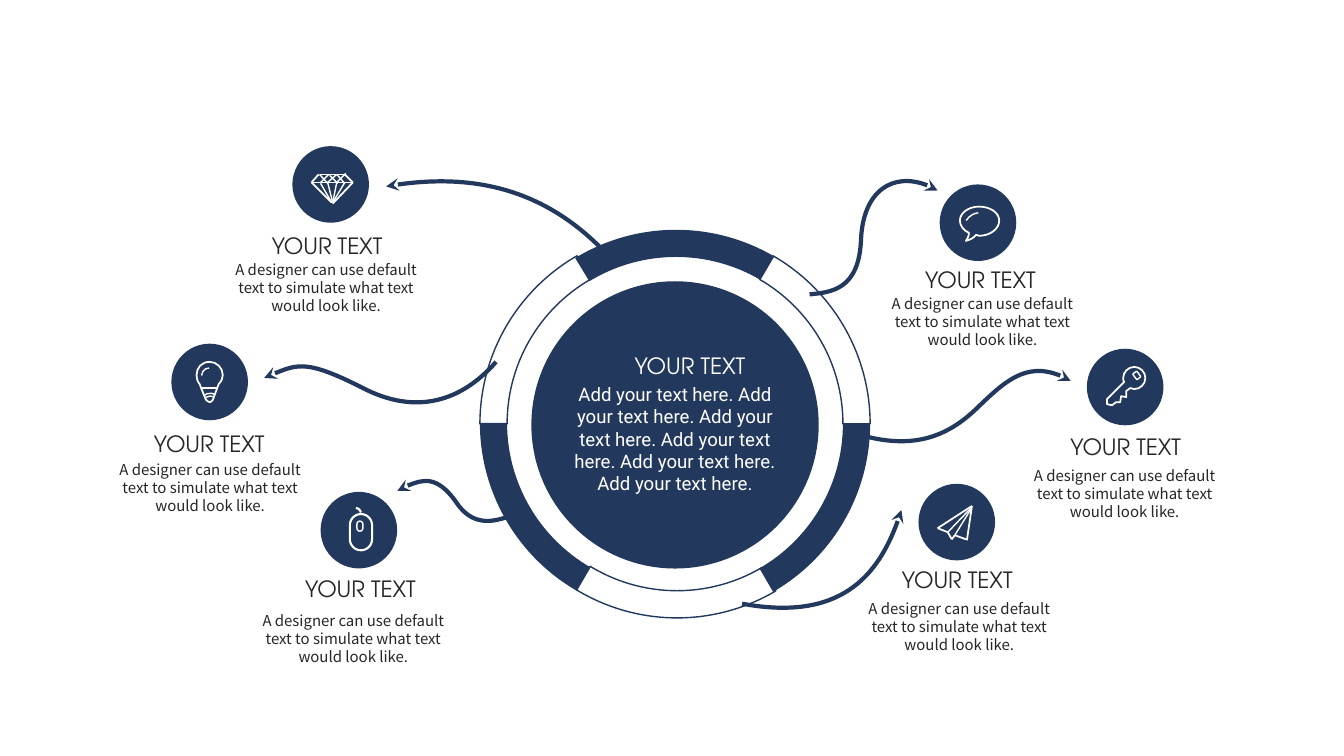
from lxml import etree
from pptx import Presentation
from pptx.dml.color import RGBColor
from pptx.enum.shapes import MSO_CONNECTOR, MSO_SHAPE
from pptx.enum.text import PP_ALIGN
from pptx.oxml.ns import qn
from pptx.util import Cm, Pt

OVAL, ARC = MSO_SHAPE.OVAL, MSO_SHAPE.ARC
BLOCK_ARC, ROUND_RECT = MSO_SHAPE.BLOCK_ARC, MSO_SHAPE.ROUNDED_RECTANGLE
STRAIGHT = MSO_CONNECTOR.STRAIGHT
CENTER, RIGHT = PP_ALIGN.CENTER, PP_ALIGN.RIGHT

THEME = {
    "navy": RGBColor(0x22, 0x38, 0x5C), "ink": RGBColor(0x26, 0x26, 0x26),
    "white": RGBColor(0xFF, 0xFF, 0xFF),
    "title_font": "TeX Gyre Adventor", "blurb_font": "Noto Sans CJK SC", "hub_font": "Roboto",
    "title": 16, "blurb": 10.7, "blurb_leading": 12.85, "hub": 13.3,
    "ring_line": 1, "arrow_line": 3, "thin": 1, "medium": 1.25, "thick": 1.5,
}

# Content: all places are in hundredths of an inch
TITLE = "YOUR TEXT"
BLURB = "A designer can use default text to simulate what text would look like."
HUB_TEXT = " ".join(["Add your text here."] * 6)

# Ring segments: left, top, start angle, end angle, filled
RING_SEGMENTS = [
    (476, 228, 180, 240, False), (478, 228, 238.7, 300.4, True),
    (478, 228, 300, 360, False), (476, 227, 120, 180, True),
    (479, 228, 59.4, 121.4, False), (478, 228, 0, 60, True),
]

# Icons, measured from the corner of their badge. Outline steps: a pair is a
# straight step, six numbers are a curve.
DIAMOND = {
    "lines": [
        ("medium", [(27, 28, 52, 28), (52, 28, 60, 36), (60, 36, 40, 57), (39, 56, 19, 36),
                    (26, 28, 19, 36)]),
        ("thin", [(20, 36, 60, 36), (39, 56, 28, 37), (40, 56, 35, 36), (40, 56, 44, 36),
                  (40, 56, 52, 36), (27, 28, 35, 37), (37, 29, 45, 37), (44, 28, 52, 37),
                  (36, 28, 28, 36), (44, 28, 35, 36), (53, 27, 44, 36)])],
}
PAPER_PLANE = {
    "lines": [
        ("medium", [(53, 22, 19, 44), (19, 44, 29, 48), (29, 48, 33, 55), (33, 55, 36, 51),
                    (36, 51, 47, 55), (53, 22, 48, 56)]),
        ("thin", [(52, 24, 29, 48), (52, 25, 36, 51)])],
}
SPEECH_BUBBLE = {
    "outline": [(39, 22), (50, 22, 59, 28, 59, 36), (59, 44, 50, 51, 39, 51), (36, 50),
                (34, 53, 30, 55, 26, 56), (27, 54, 29, 52, 29, 48),
                (24, 46, 20, 41, 20, 36), (20, 28, 29, 22, 39, 22)],
    "arcs": [((24, 28, 32, 32), 301.2, 270, 322.6, "thin")],
}
LIGHT_BULB = {
    "outline": [(38, 18), (45, 18, 51, 24, 51, 31), (51, 34, 50, 37, 47, 40), (41, 56),
                (40, 57, 39, 58, 38, 58), (36, 58, 35, 56, 34, 55), (28, 40),
                (26, 38, 25, 34, 25, 31), (25, 24, 30, 18, 38, 18)],
    "lines": [("medium", [(30, 44, 45, 44)])],
    "arcs": [((30, 24, 15, 15), 270, 270, 359.2, "thin"),
             ((30, 49, 17, 17), 309, 280.4, 351, "thin"),
             ((31, 52, 15, 15), 300, 292.1, 350.2, "thin")],
}
MOUSE = {
    "pills": [((29, 22, 22, 36), 0, 0.5, "thick"), ((36, 29, 6, 10), 0, 0.5, "thin")],
    "arcs": [((30, 16, 10, 10), 0, 270, 353.5, "thick")],
}
KEY = {
    "outline": [(47, 18), (53, 18, 58, 23, 58, 29), (58, 35, 53, 40, 47, 40), (43, 39),
                (39, 42), (39, 48), (34, 47), (33, 53), (29, 53), (25, 56), (20, 55),
                (20, 50), (37, 33), (36, 32, 36, 30, 36, 29), (36, 23, 41, 18, 47, 18)],
    "pills": [((46, 24, 7, 5), 53.8, 0.17, "thin")],
}

# Callouts: badge, title and blurb corners, icon, arrow from the ring
CALLOUTS = [
    ((290, 145), (251, 225), (212, 254), DIAMOND,
     [(596, 246), (543, 193, 472, 169, 383, 185)]),
    ((170, 341), (134, 422), (97, 452), LIGHT_BULB,
     [(492, 359), (459, 397, 414, 413, 360, 385), (305, 357, 291, 362, 262, 375)]),
    ((318, 488), (284, 566), (239, 602), MOUSE,
     [(515, 509), (498, 514, 473, 528, 453, 499), (433, 470, 408, 478, 394, 487)]),
    ((932, 183), (899, 259), (863, 287), SPEECH_BUBBLE,
     [(803, 292), (825, 290, 852, 287, 854, 238), (856, 189, 892, 166, 930, 189)]),
    ((1078, 346), (1043, 425), (1004, 458), KEY,
     [(855, 432), (909, 447, 942, 431, 969, 405), (996, 379, 1022, 354, 1062, 378)]),
    ((911, 480), (876, 557), (840, 590), PAPER_PLANE,
     [(736, 599), (833, 617, 876, 566, 894, 506)]),
]
HUB, HUB_TITLE, HUB_BODY = (527, 279, 285, 285), (602, 344, 147, 37), (559, 375, 221, 122)
RING_SIZE, BADGE_SIZE, RING_THICKNESS = 385, 76, 0.07
TITLE_SIZE, BLURB_SIZE = (147, 37), (223, 64)


def place(hundredths):
    return Cm(hundredths * 2.54 / 100)


def angle(degrees):
    return degrees * 0.6


def style(shape, fill=None, line=None, width=1):
    shape.shadow.inherit = False
    if fill is None:
        shape.fill.background()
    else:
        shape.fill.solid()
        shape.fill.fore_color.rgb = fill
    if line is None:
        shape.line.fill.background()
    else:
        shape.line.color.rgb = line
        shape.line.width = Pt(width)


def add_preset(kind, box, adjust=(), rotation=0, **look):
    shape = slide.shapes.add_shape(kind, *map(place, box))
    for index, value in enumerate(adjust):
        shape.adjustments[index] = value
    shape.rotation = rotation
    style(shape, **look)


def add_text(text, box, *, font, size, color, align=CENTER, wrap=True, leading=None):
    frame = slide.shapes.add_textbox(*map(place, box)).text_frame
    frame.word_wrap = wrap
    paragraph = frame.paragraphs[0]
    paragraph.alignment = align
    if leading:
        paragraph.line_spacing = Pt(leading)
    run = paragraph.add_run()
    run.text = text
    run.font.name, run.font.size, run.font.color.rgb = font, Pt(size), color


def add_curve(steps, closed=False, arrow=False, **look):
    """Trace the curve for its bounds, then store its true Bézier steps."""
    trace, pen = [], steps[0]
    for step in steps[1:]:
        if len(step) == 6:
            knots = [pen, step[:2], step[2:4], step[4:]]
            for t in (i / 24 for i in range(1, 25)):
                weights = ((1 - t) ** 3, 3 * t * (1 - t) ** 2, 3 * t * t * (1 - t), t ** 3)
                trace.append(tuple(place(sum(w * k[axis] for w, k in zip(weights, knots)))
                                   for axis in (0, 1)))
        else:
            trace.append(tuple(map(place, step)))
        pen = step[-2:]
    builder = slide.shapes.build_freeform(*map(place, steps[0]))
    builder.add_line_segments(trace, close=closed)
    shape = builder.convert_to_shape()
    outline = shape._element.find(".//" + qn("a:path"))
    for node in list(outline):
        outline.remove(node)
    for index, step in enumerate(steps):
        tag = "a:moveTo" if index == 0 else "a:cubicBezTo" if len(step) == 6 else "a:lnTo"
        node = etree.SubElement(outline, qn(tag))
        for x, y in zip(step[::2], step[1::2]):
            etree.SubElement(node, qn("a:pt"), x=str(place(x) - shape.left),
                             y=str(place(y) - shape.top))
    if closed:
        etree.SubElement(outline, qn("a:close"))
    style(shape, **look)
    if arrow:
        etree.SubElement(shape.line._get_or_add_ln(), qn("a:tailEnd"), type="stealth")


def add_line(ends, color, width):
    line = slide.shapes.add_connector(STRAIGHT, *map(place, ends))
    line.line.color.rgb, line.line.width = color, Pt(width)
    etree.SubElement(line._element.spPr, qn("a:effectLst"))


def shift(numbers, corner):
    return tuple(n + corner[i % 2] for i, n in enumerate(numbers))


def add_icon(icon, corner):
    white = THEME["white"]
    if "outline" in icon:
        add_curve([shift(step, corner) for step in icon["outline"]], closed=True,
                  line=white, width=THEME["medium"])
    for weight, strokes in icon.get("lines", []):
        for ends in strokes:
            add_line(shift(ends, corner), white, THEME[weight])
    for box, turn, rounding, weight in icon.get("pills", []):
        add_preset(ROUND_RECT, shift(box[:2], corner) + box[2:], [rounding], turn,
                   line=white, width=THEME[weight])
    for box, turn, start, end, weight in icon.get("arcs", []):
        add_preset(ARC, shift(box[:2], corner) + box[2:], [angle(start), angle(end)], turn,
                   line=white, width=THEME[weight])


deck = Presentation()
deck.slide_width, deck.slide_height = place(1333), place(750)
slide = deck.slides.add_slide(deck.slide_layouts[6])
navy, ink, white = THEME["navy"], THEME["ink"], THEME["white"]
title_look = {"font": THEME["title_font"], "size": THEME["title"], "wrap": False}

# Ring and hub
for left, top, start, end, filled in RING_SEGMENTS:
    look = {"fill": navy} if filled else {"line": navy, "width": THEME["ring_line"]}
    add_preset(BLOCK_ARC, (left, top, RING_SIZE, RING_SIZE),
               [angle(start), angle(end), RING_THICKNESS], **look)
add_preset(OVAL, HUB, fill=navy)
add_text(TITLE, HUB_TITLE, color=white, align=RIGHT, **title_look)
add_text(HUB_TEXT, HUB_BODY, font=THEME["hub_font"], size=THEME["hub"], color=white)

# Callouts around the ring
for badge, title, blurb, icon, arrow in CALLOUTS:
    add_curve(arrow, arrow=True, line=navy, width=THEME["arrow_line"])
    add_preset(OVAL, badge + (BADGE_SIZE, BADGE_SIZE), fill=navy)
    add_icon(icon, badge)
    add_text(TITLE, title + TITLE_SIZE, color=ink, **title_look)
    add_text(BLURB, blurb + BLURB_SIZE, font=THEME["blurb_font"], size=THEME["blurb"],
             color=ink, leading=THEME["blurb_leading"])

deck.save("out.pptx")
